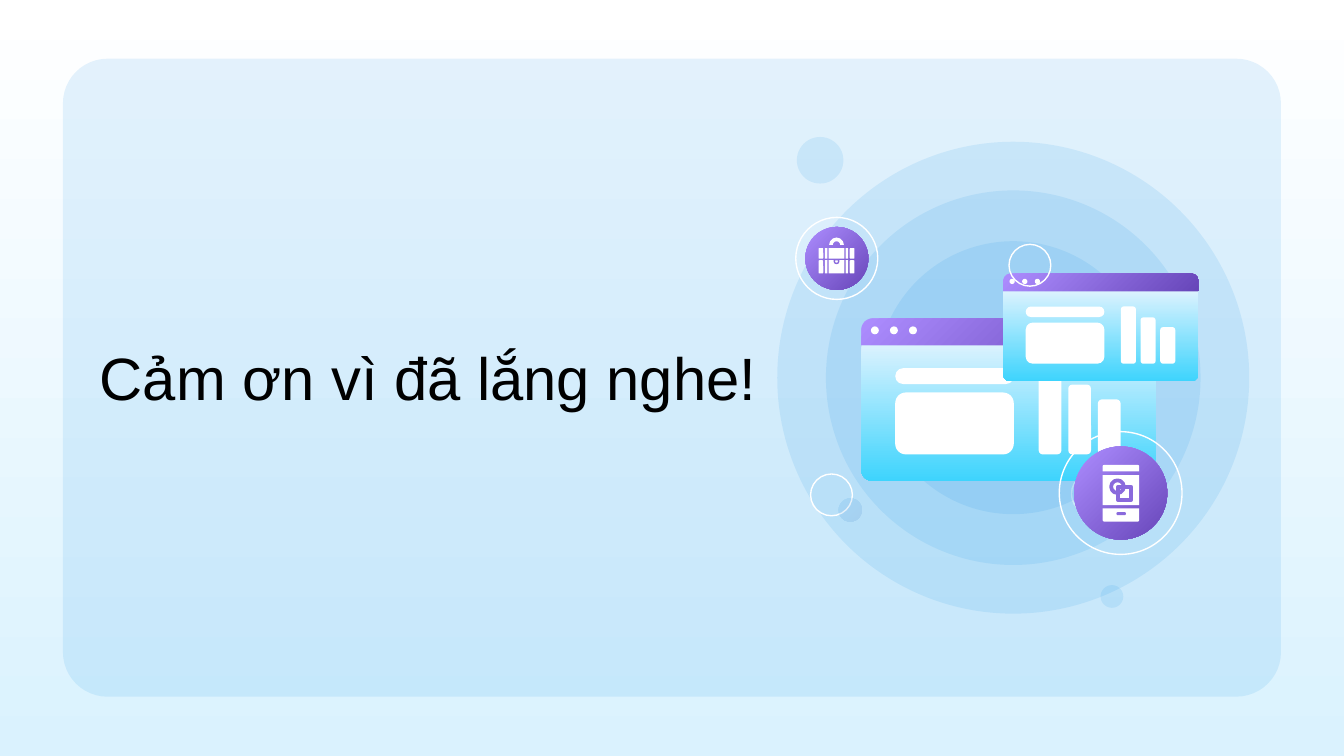
from collections import namedtuple

from lxml.etree import SubElement
from pptx import Presentation
from pptx.dml.color import RGBColor
from pptx.enum.shapes import MSO_SHAPE
from pptx.enum.text import MSO_ANCHOR, PP_ALIGN
from pptx.oxml.ns import qn
from pptx.util import Cm, Pt

WHITE = RGBColor(0xFF, 0xFF, 0xFF)
BLACK = RGBColor(0, 0, 0)
BLUE = RGBColor(0x03, 0x88, 0xE5)
NAVY = RGBColor(0x00, 0x48, 0xA7)
LILAC = RGBColor(0xAD, 0x8D, 0xFF)
PURPLE = RGBColor(0x67, 0x46, 0xB9)
VIOLET = RGBColor(0x8A, 0x6A, 0xDC)
ICE = RGBColor(0xDA, 0xF2, 0xFE)
CYAN = RGBColor(0x3E, 0xD4, 0xFD)

Box = namedtuple("Box", "left top width height")
OVAL, ROUNDED = MSO_SHAPE.OVAL, MSO_SHAPE.ROUNDED_RECTANGLE
RECTANGLE, TOP_ROUNDED = MSO_SHAPE.RECTANGLE, MSO_SHAPE.ROUND_2_SAME_RECTANGLE


def square(left, top, size):
    return Box(left, top, size, size)


def inset(box, gap):
    return Box(box.left + gap, box.top + gap, box.width - 2 * gap, box.height - 2 * gap)


def paint_gradient(fill, colors, angle):
    fill.gradient()
    fill.gradient_angle = 360 - angle
    for stop, color in zip(fill.gradient_stops, colors):
        stop.color.rgb = color


def draw(page, kind, box, color=None, corners=(), gradient=None, angle=45,
         opacity=100, line=None, weight=0.75):
    shape = page.shapes.add_shape(kind, *(Cm(length) for length in box))
    shape.shadow.inherit = False
    for index, corner in enumerate(corners):
        shape.adjustments[index] = corner
    if gradient:
        paint_gradient(shape.fill, gradient, angle)
    elif color is not None:
        shape.fill.solid()
        shape.fill.fore_color.rgb = color
    else:
        shape.fill.background()
    if opacity < 100:
        for tint in shape._element.spPr.iter(qn("a:srgbClr")):
            SubElement(tint, qn("a:alpha")).set("val", str(opacity * 1000))
    if line is None:
        shape.line.fill.background()
    else:
        shape.line.color.rgb = line
        shape.line.width = Pt(weight)


def add_halo(page, box):
    for gap in (0, 0.92, 1.88):
        draw(page, OVAL, inset(box, gap), BLUE, opacity=10)


def add_window(page, box):
    scale = box.width / 5.56

    def place(kind, left, top, width, height, **style):
        part = Box(box.left + left * scale, box.top + top * scale,
                   width * scale, height * scale)
        draw(page, kind, part, **style)

    place(TOP_ROUNDED, 0, 0, 5.56, 0.51, corners=(0.4, 0), gradient=(LILAC, PURPLE))
    place(TOP_ROUNDED, 0, 0.51, 5.56, 2.56, corners=(0, 0.08), gradient=(ICE, CYAN), angle=90)
    for index in range(3):
        place(OVAL, 0.18 + 0.36 * index, 0.15, 0.15, 0.15, color=WHITE)
    for index, height in enumerate((1.63, 1.32, 1.04)):
        place(ROUNDED, 3.35 + 0.56 * index, 2.57 - height, 0.43, height,
              color=WHITE, corners=(0.18,))
    place(ROUNDED, 0.64, 0.94, 2.24, 0.3, color=WHITE, corners=(0.5,))
    place(ROUNDED, 0.64, 1.4, 2.24, 1.17, color=WHITE, corners=(0.17,))


def add_medallion(page, box, gap):
    draw(page, OVAL, box, line=WHITE)
    draw(page, OVAL, inset(box, gap), gradient=(LILAC, PURPLE))


def add_briefcase(page, box):
    draw(page, MSO_SHAPE.BLOCK_ARC, square(box.left + 0.2, box.top, 0.28), WHITE)
    columns = ((0, 0.09), (0.12, 0.05), (0.19, 0.3), (0.51, 0.05), (0.59, 0.09))
    for top, height in ((0.2, 0.2), (0.43, 0.25)):
        for left, width in columns:
            kind = ROUNDED if width == 0.09 else RECTANGLE
            draw(page, kind, Box(box.left + left, box.top + top, width, height), WHITE)
    draw(page, TOP_ROUNDED, Box(box.left + 0.3, box.top + 0.42, 0.08, 0.07), WHITE,
         corners=(0, 0.5), line=VIOLET, weight=0.75)


def add_phone(page, box):
    draw(page, TOP_ROUNDED, Box(box.left, box.top, box.width, 0.12), WHITE, corners=(0.2, 0))
    draw(page, RECTANGLE, Box(box.left, box.top + 0.19, box.width, 0.57), WHITE)
    draw(page, TOP_ROUNDED, Box(box.left, box.top + 0.82, box.width, 0.25), WHITE,
         corners=(0, 0.12))
    draw(page, OVAL, square(box.left + 0.16, box.top + 0.29, 0.24), line=VIOLET, weight=2)
    draw(page, RECTANGLE, square(box.left + 0.29, box.top + 0.41, 0.25), line=VIOLET, weight=2)
    draw(page, ROUNDED, Box(box.left + 0.26, box.top + 0.89, 0.18, 0.06), VIOLET, corners=(0.5,))


def add_bubbles(page, box):
    for left, top in ((0.63, 6.37), (4.38, 2.03)):
        draw(page, OVAL, square(box.left + left, box.top + top, 0.79), line=WHITE)
    draw(page, OVAL, square(box.left + 1.16, box.top + 6.83, 0.44),
         gradient=(BLUE, NAVY), opacity=10)
    for left, top, size in ((0.37, 0, 0.88), (6.11, 8.47, 0.43)):
        draw(page, OVAL, square(box.left + left, box.top + top, size), BLUE, opacity=10)


def add_illustration(page, box):
    left, top = box.left, box.top
    draw(page, OVAL, square(left + 5.56, top + 6.35, 0.79), line=WHITE)
    draw(page, OVAL, square(left + 6.14, top + 6.35, 0.43),
         gradient=(LILAC, PURPLE), opacity=10)
    add_halo(page, square(left, top + 0.09, 8.92))
    add_medallion(page, square(left + 0.35, top + 1.52, 1.55), 0.18)
    add_briefcase(page, Box(left + 0.78, top + 1.9, 0.68, 0.68))
    add_window(page, Box(left + 1.59, top + 3.43, 5.56, 3.07))
    add_window(page, Box(left + 4.27, top + 2.58, 3.69, 2.04))
    add_medallion(page, square(left + 5.33, top + 5.57, 2.32), 0.28)
    add_phone(page, Box(left + 6.15, top + 6.2, 0.69, 1.07))
    add_bubbles(page, box)


def add_title(page, box):
    title = page.shapes.title
    page.shapes._spTree.append(title._element)
    title.left, title.top, title.width, title.height = (Cm(length) for length in box)
    frame = title.text_frame
    frame.word_wrap = True
    frame.vertical_anchor = MSO_ANCHOR.TOP
    para = frame.paragraphs[0]
    para.alignment = PP_ALIGN.LEFT
    span = para.add_run()
    span.text = "Cảm ơn vì đã lắng nghe!"
    span.font.name = "Arial"
    span.font.size = Pt(32)
    span.font.color.rgb = BLACK


def main():
    deck = Presentation()
    deck.slide_width, deck.slide_height = Cm(25.4), Cm(14.29)
    page = deck.slides.add_slide(deck.slide_layouts[5])
    paint_gradient(page.background.fill, (WHITE, ICE), 90)
    draw(page, ROUNDED, Box(1.19, 1.11, 23.02, 12.06), BLUE, corners=(0.07,), opacity=10)
    add_illustration(page, Box(14.69, 2.59, 8.92, 9.01))
    add_title(page, Box(1.63, 6.32, 13.72, 1.62))
    deck.save("out.pptx")


if __name__ == "__main__":
    main()
